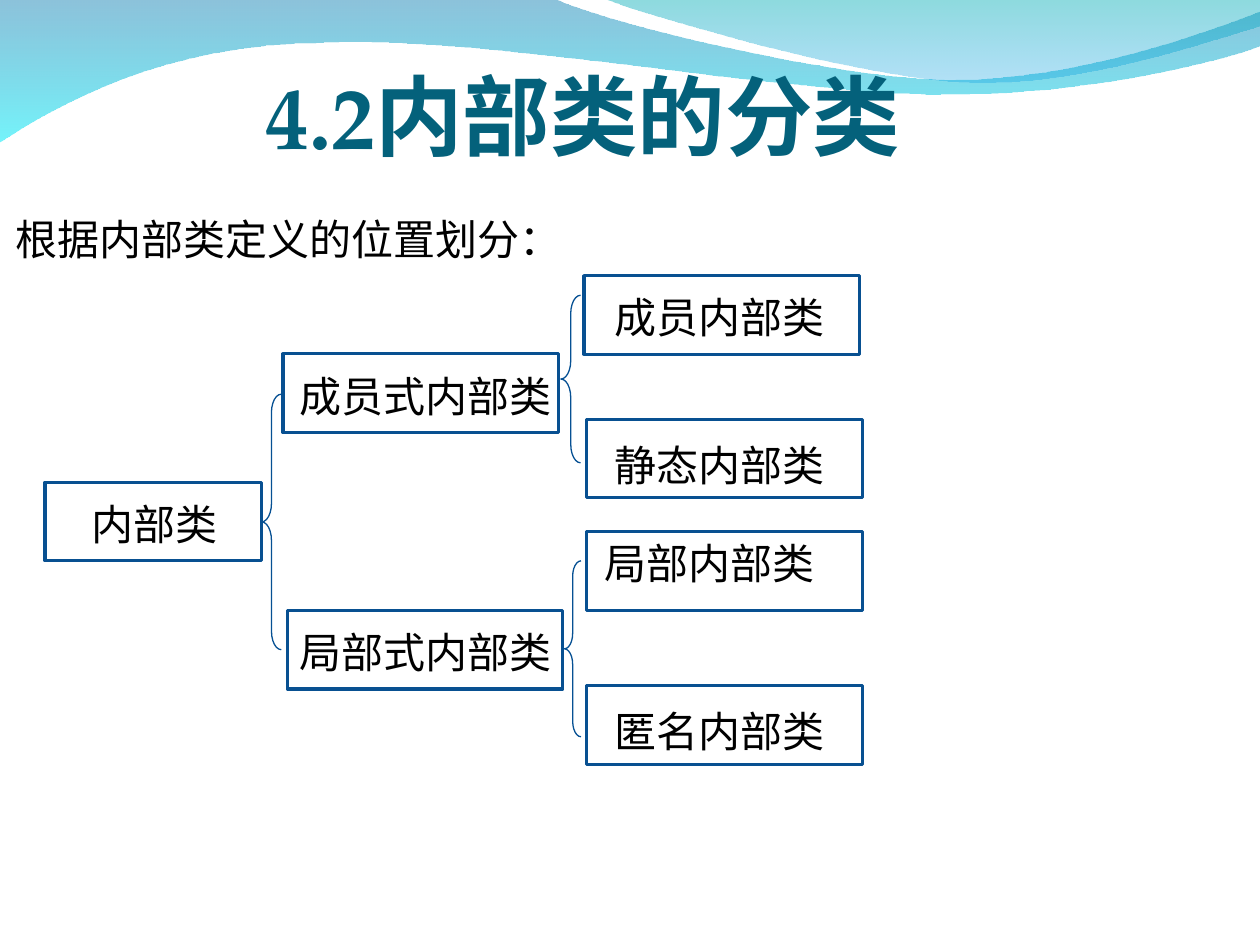
from dataclasses import dataclass
from typing import Any

from lxml import etree
from pptx import Presentation
from pptx import util as u
from pptx.dml import color as colors
from pptx.enum import shapes, text
from pptx.oxml import ns

Pt = u.Pt


def rgb(value):
    return colors.RGBColor.from_string(value)


def write(frame, content, size=24, font="Arial", color="000000", bold=False,
          anchor=text.MSO_ANCHOR.TOP, margins=(7.2, 3.6, 7.2, 3.6), wrap=False):
    frame.auto_size = text.MSO_AUTO_SIZE.NONE
    frame.word_wrap = wrap
    frame.vertical_anchor = anchor
    frame.margin_left, frame.margin_top, frame.margin_right, frame.margin_bottom = map(Pt, margins)
    paragraph = frame.paragraphs[0]
    paragraph.alignment = text.PP_ALIGN.LEFT
    run = paragraph.add_run()
    run.text = content
    run.font.size = Pt(size)
    run.font.name = font
    run.font.bold = bold
    run.font.color.rgb = rgb(color)


def bend(shape, segments):
    lines = iter(list(shape.element.spPr.iter(ns.qn("a:lnTo"))))
    for segment in segments:
        group = [next(lines) for _ in segment]
        if len(group) == 3:
            curve = etree.Element(ns.qn("a:cubicBezTo"))
            group[0].addprevious(curve)
            for line in group:
                curve.append(line[0])
                line.getparent().remove(line)


@dataclass
class Diagram:
    slide: Any
    box_line: str = "085091"
    box_weight: float = 1.75
    brace_line: str = "065093"
    brace_weight: float = 0.75
    title_color: str = "04617B"
    title_font: str = "TeX Gyre Pagella"

    def title(self, content, left, top, width, height):
        shape = self.slide.shapes.title
        shape.left, shape.top, shape.width, shape.height = map(Pt, (left, top, width, height))
        write(shape.text_frame, content, size=50, font=self.title_font, color=self.title_color,
              bold=True, anchor=text.MSO_ANCHOR.BOTTOM, margins=(0, 3.6, 0, 0), wrap=True)
        shape.element.getparent().append(shape.element)

    def wave(self, start, segments, stops):
        left, top = map(Pt, start)
        points = [tuple(map(Pt, point)) for segment in segments for point in segment]
        builder = self.slide.shapes.build_freeform(left, top)
        builder.add_line_segments(points, close=True)
        shape = builder.convert_to_shape()
        bend(shape, segments)
        shape.shadow.inherit = False
        shape.line.fill.background()
        shape.fill.gradient()
        shape.fill.gradient_angle = 270
        for stop, (position, color, _) in zip(shape.fill.gradient_stops, stops):
            stop.position = position
            stop.color.rgb = rgb(color)
        gradient_colors = list(shape.element.spPr.iter(ns.qn("a:srgbClr")))
        for element, (_, _, opacity) in zip(gradient_colors, stops):
            etree.SubElement(element, ns.qn("a:alpha"), val=str(opacity * 1000))

    def outline(self, kind, left, top, width, height, color, weight):
        shape = self.slide.shapes.add_shape(kind, *map(Pt, (left, top, width, height)))
        shape.shadow.inherit = False
        shape.fill.background()
        shape.line.color.rgb = rgb(color)
        shape.line.width = Pt(weight)
        return shape

    def box(self, left, top, width=157.5, height=45):
        self.outline(shapes.MSO_SHAPE.RECTANGLE, left, top, width, height,
                     self.box_line, self.box_weight)

    def brace(self, left, top, width, height):
        shape = self.outline(shapes.MSO_SHAPE.LEFT_BRACE, left, top, width, height,
                             self.brace_line, self.brace_weight)
        shape.adjustments[0] = 0.93

    def label(self, content, left, top, width, height=36):
        shape = self.slide.shapes.add_textbox(*map(Pt, (left, top, width, height)))
        write(shape.text_frame, content)


def main():
    presentation = Presentation()
    presentation.slide_width, presentation.slide_height = Pt(720), Pt(540)
    slide = presentation.slides.add_slide(presentation.slide_layouts[5])
    diagram = Diagram(slide)

    diagram.wave(
        (0, -0.7),
        [
            [(316.8, -0.7)],
            [(342.7, 12.2), (478.1, 45.4), (545.8, 45.4)],
            [(614.2, 45.4), (689.8, 18.7), (720, 6.5)],
            [(720.7, 25.9)],
            [(707.8, 31.7), (626.4, 54.7), (537.1, 54)],
            [(447.8, 54), (275, 20.2), (185, 24.5)],
            [(92.9, 25.2), (33.1, 59.8), (-0.7, 81.4)],
        ],
        [(0, "0079AF", 45), (1, "00EBF8", 55)],
    )
    diagram.wave(
        (344.9, -0.7),
        [
            [(366.5, 7.9), (491, 44.6), (553.7, 46.8)],
            [(616.3, 49.7), (691.9, 23), (720, 15.1)],
            [(720, 0)],
        ],
        [(0, "00ADB6", 45), (1, "009BE5", 30)],
    )

    for brace in ((149.5, 225.25, 11.25, 146), (320.5, 168.75, 11.25, 95.75), (322.5, 320.5, 9.5, 100.5)):
        diagram.brace(*brace)

    classes = [
        ("内部类", (25.75, 275.5, 124), (45, 281.5, 96)),
        ("成员式内部类", (161.75, 202.25), (164, 208, 158.5)),
        ("局部式内部类", (164.25, 348.75), (164, 354.5, 158.5)),
        ("成员内部类", (333.75, 157.5), (344, 163.25, 134)),
        ("静态内部类", (335.25, 239.5), (344, 247.5, 134)),
        ("局部内部类", (335.25, 303.75), (338.5, 303.75, 134)),
        ("匿名内部类", (335.25, 391.75), (344, 399.5, 134)),
    ]
    for name, box, label in classes:
        diagram.box(*box)
        diagram.label(name, *label)

    diagram.label("根据内部类定义的位置划分：", 1.5, 118.25, 326)
    diagram.title("4.2内部类的分类", 152, 28.25, 453.5, 67)
    presentation.save("out.pptx")


if __name__ == "__main__":
    main()
